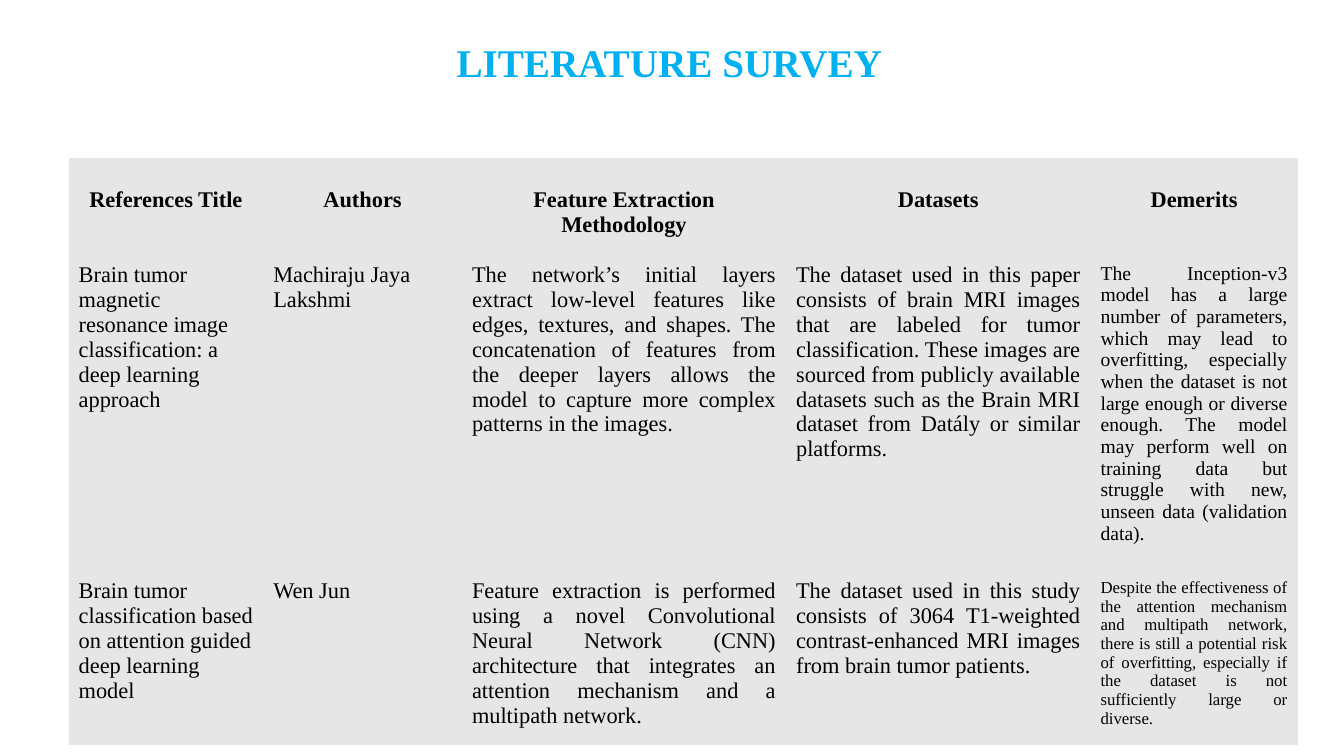
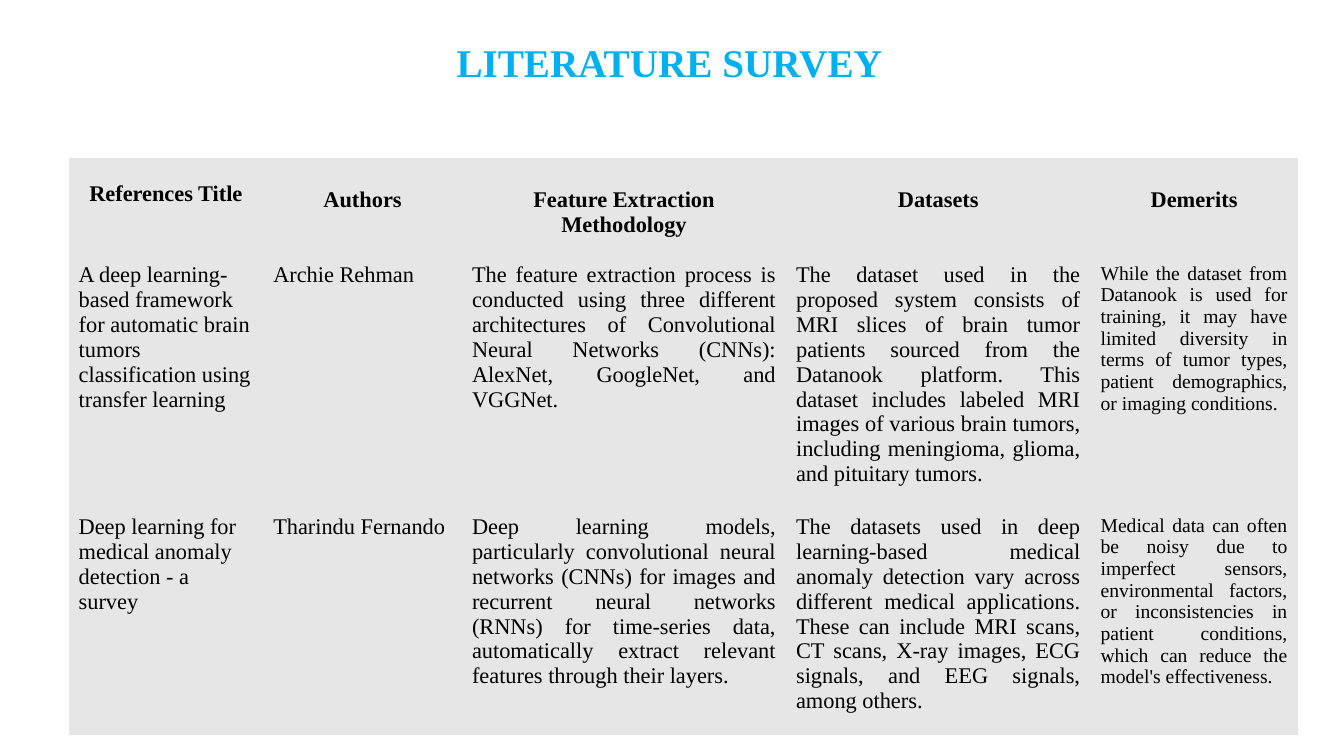
from pptx import Presentation
from pptx.dml.color import RGBColor
from pptx.enum import text as t
from pptx.util import Pt

SKY = RGBColor(0x00, 0xB0, 0xF0)
INK = RGBColor(0x00, 0x00, 0x00)
PALE = RGBColor(0xE7, 0xE6, 0xE6)
GREY = RGBColor(0x88, 0x88, 0x88)
SERIF, SANS = "Times New Roman", "Calibri"
PLAIN = "{2D5ABB26-0587-4C30-8999-92F81FD0307C}"  # table style without grid
LEFT, MID, RIGHT, FULL = (t.PP_ALIGN.LEFT, t.PP_ALIGN.CENTER,
                          t.PP_ALIGN.RIGHT, t.PP_ALIGN.JUSTIFY)

HEADS = ["References Title", "Authors", "Feature Extraction Methodology",
         "Datasets", "Demerits"]
WIDTHS = [139, 142, 231.5, 217.5, 148]
ALIGNS = [LEFT, LEFT, FULL, FULL, FULL]
HEAD_H = 71.5


class Deck:
    """Holds the shared style and the current slide."""

    def __init__(self):
        self.prs = Presentation()
        self.prs.slide_width, self.prs.slide_height = Pt(960), Pt(540)
        self.slide = None

    def label(self, frame, words, size, color, align, font=SERIF, bold=False):
        frame.word_wrap = True
        frame.text = words
        para = frame.paragraphs[0]
        para.alignment = align
        for run in para.runs:
            face = run.font
            face.name, face.size, face.bold = font, Pt(size), bold
            face.color.rgb = color

    def page(self, title):
        self.slide = self.prs.slides.add_slide(self.prs.slide_layouts[5])
        box = self.slide.shapes.title
        box.left, box.top, box.width, box.height = Pt(169), Pt(24), Pt(618), Pt(41)
        frame = box.text_frame
        frame.vertical_anchor = t.MSO_ANCHOR.TOP
        frame.auto_size = t.MSO_AUTO_SIZE.SHAPE_TO_FIT_TEXT
        self.label(frame, title, 28, SKY, MID, bold=True)

    def number(self, num):
        box = self.slide.shapes.add_textbox(Pt(678), Pt(500.5), Pt(216), Pt(29))
        box.text_frame.vertical_anchor = t.MSO_ANCHOR.MIDDLE
        self.label(box.text_frame, str(num), 12, GREY, RIGHT, font=SANS)

    def cell(self, cell, *args, **style):
        cell.fill.solid()
        cell.fill.fore_color.rgb = PALE
        self.label(cell.text_frame, *args, **style)

    def table(self, rows, heights, sizes, drops):
        """Sizes are those of the last column; drops are header top margins."""
        heights = [HEAD_H] + heights
        frame = self.slide.shapes.add_table(
            len(heights), len(HEADS), Pt(49), Pt(112.5),
            Pt(sum(WIDTHS)), Pt(sum(heights)))
        for tag in frame.element.xpath(".//a:tableStyleId"):
            tag.text = PLAIN
        grid = frame.table
        grid.first_row = grid.horz_banding = False
        for col, width in zip(grid.columns, WIDTHS):
            col.width = Pt(width)
        for row, height in zip(grid.rows, heights):
            row.height = Pt(height)
        # Header row
        for c, (head, drop) in enumerate(zip(HEADS, drops)):
            cell = grid.cell(0, c)
            cell.margin_top = Pt(drop)
            self.cell(cell, head, 16, INK, MID, bold=True)
        # Body rows
        for r, (row, last) in enumerate(zip(rows, sizes), 1):
            for c, (words, align) in enumerate(zip(row, ALIGNS)):
                size = last if c == len(HEADS) - 1 else 16
                self.cell(grid.cell(r, c), words, size, INK, align)


PAGES = [
    dict(num=9, heights=[208.5, 113], sizes=[14, 12], drops=[21.5] * 5, rows=[
        ["Brain tumor magnetic resonance image classification: a deep learning "
         "approach",
         "Machiraju Jaya Lakshmi",
         "The network’s initial layers extract low-level features like edges, "
         "textures, and shapes. The concatenation of features from the deeper "
         "layers allows the model to capture more complex patterns in the images.",
         "The dataset used in this paper consists of brain MRI images that are "
         "labeled for tumor classification. These images are sourced from publicly "
         "available datasets such as the Brain MRI dataset from Datály or similar "
         "platforms.",
         "The Inception-v3 model has a large number of parameters, which may lead "
         "to overfitting, especially when the dataset is not large enough or "
         "diverse enough. The model may perform well on training data but struggle "
         "with new, unseen data (validation data)."],
        ["Brain tumor classification based on attention guided deep learning model",
         "Wen Jun",
         "Feature extraction is performed using a novel Convolutional Neural "
         "Network (CNN) architecture that integrates an attention mechanism and a "
         "multipath network.",
         "The dataset used in this study consists of 3064 T1-weighted "
         "contrast-enhanced MRI images from brain tumor patients.",
         "Despite the effectiveness of the attention mechanism and multipath "
         "network, there is still a potential risk of overfitting, especially if "
         "the dataset is not sufficiently large or diverse."],
    ]),
    dict(num=10, heights=[167, 148.5], sizes=[14, 14], drops=[17] + [21.5] * 4, rows=[
        ["A deep learning-based framework for automatic brain tumors "
         "classification using transfer learning",
         "Archie Rehman",
         "The feature extraction process is conducted using three different "
         "architectures of Convolutional Neural Networks (CNNs): AlexNet, "
         "GoogleNet, and VGGNet.",
         "The dataset used in the proposed system consists of MRI slices of brain "
         "tumor patients sourced from the Datanook platform. This dataset includes "
         "labeled MRI images of various brain tumors, including meningioma, "
         "glioma, and pituitary tumors.",
         "While the dataset from Datanook is used for training, it may have limited "
         "diversity in terms of tumor types, patient demographics, or imaging "
         "conditions."],
        ["Deep learning for medical anomaly detection - a survey",
         "Tharindu Fernando",
         "Deep learning models, particularly convolutional neural networks (CNNs) "
         "for images and recurrent neural networks (RNNs) for time-series data, "
         "automatically extract relevant features through their layers.",
         "The datasets used in deep learning-based medical anomaly detection vary "
         "across different medical applications. These can include MRI scans, CT "
         "scans, X-ray images, ECG signals, and EEG signals, among others.",
         "Medical data can often be noisy due to imperfect sensors, environmental "
         "factors, or inconsistencies in patient conditions, which can reduce the "
         "model's effectiveness."],
    ]),
]


def main():
    deck = Deck()
    for page in PAGES:
        deck.page("LITERATURE SURVEY")
        deck.number(page["num"])
        deck.table(page["rows"], page["heights"], page["sizes"], page["drops"])
    deck.prs.save("out.pptx")


if __name__ == "__main__":
    main()
